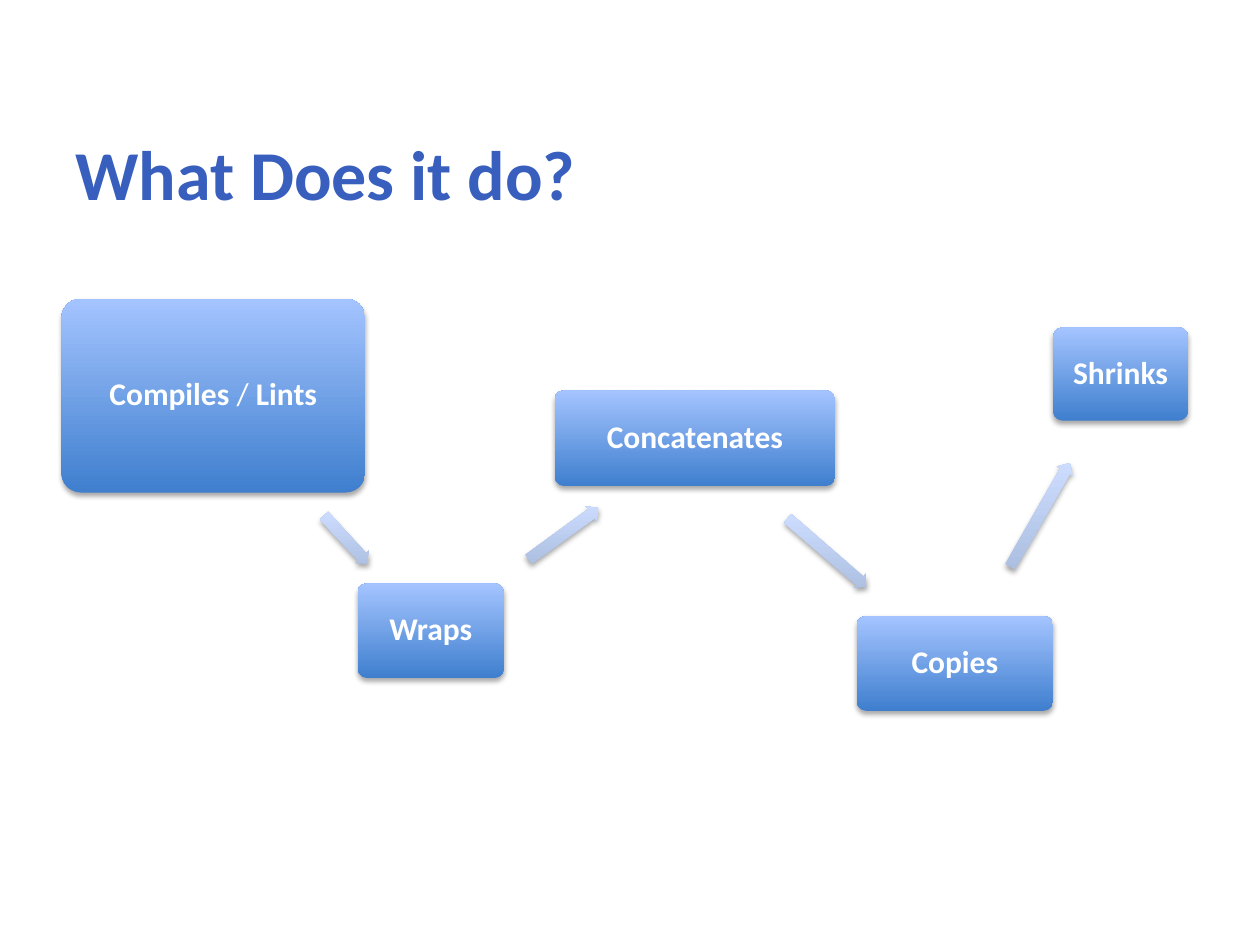
from typing import NamedTuple

from lxml.etree import SubElement
from pptx import Presentation
from pptx.dml.color import RGBColor
from pptx.enum.shapes import MSO_SHAPE
from pptx.enum.text import MSO_ANCHOR, PP_ALIGN
from pptx.oxml.ns import qn
from pptx.util import Cm, Pt

FONT = "Calibri"
STEP_GRADIENT = ("3F7FCE", "A4C4FF")
ARROW_GRADIENT = ("ADBFE1", "CCDDFF")
ARROW_THICKNESS = 0.38
TEXT_INSET = Cm(0.23)


class Step(NamedTuple):
    """A process box in centimetres, with (text, bold) runs."""
    left: float
    top: float
    width: float
    height: float
    runs: tuple


class Arrow(NamedTuple):
    """A block arrow in centimetres, turned clockwise in degrees."""
    left: float
    top: float
    length: float
    rotation: float


STEPS = (
    Step(1.24, 6.02, 6.12, 3.91, (("Compiles", True), (" / ", False), ("Lints", True))),
    Step(7.21, 11.76, 2.95, 1.91, (("Wraps", True),)),
    Step(11.18, 7.87, 5.66, 1.93, (("Concatenates", True),)),
    Step(17.27, 12.42, 3.96, 1.91, (("Copies", True),)),
    Step(21.23, 6.6, 2.72, 1.88, (("Shrinks", True),)),
)
ARROWS = (
    Arrow(6.32, 10.69, 1.32, 47.3),
    Arrow(10.49, 10.57, 1.75, 324),
    Arrow(15.62, 10.95, 2.11, 40.8),
    Arrow(19.76, 10.19, 2.41, 299.9),
)


def color(hex_value: str) -> RGBColor:
    return RGBColor.from_string(hex_value)


def apply_format(target, values: dict) -> None:
    for name, value in values.items():
        setattr(target, name, value)


def add_run(paragraph, text: str, size: float, hex_value: str, bold: bool) -> None:
    run = paragraph.add_run()
    run.text = text
    apply_format(run.font, {"name": FONT, "size": Pt(size), "bold": bold})
    run.font.color.rgb = color(hex_value)


def apply_style(shape, gradient: tuple[str, str]) -> None:
    """Give the shape an upward gradient, no outline and a soft shadow below."""
    shape.fill.gradient()
    shape.fill.gradient_angle = 90
    for stop, hex_value, position in zip(shape.fill.gradient_stops, gradient, (0, 1)):
        stop.color.rgb = color(hex_value)
        stop.position = position
    shape.line.fill.background()
    shape.shadow.inherit = False

    properties = shape._element.spPr
    properties.find(qn("a:gradFill")).set("rotWithShape", "0")
    shadow = SubElement(
        properties.find(qn("a:effectLst")), qn("a:outerShdw"),
        blurRad=str(Pt(3.1)), dist=str(Pt(1.8)), dir="5400000", rotWithShape="0",
    )
    shadow_color = SubElement(shadow, qn("a:srgbClr"), val="000000")
    SubElement(shadow_color, qn("a:alpha"), val="35000")


def add_title(slide, text: str) -> None:
    title = slide.shapes.add_textbox(Cm(1.27), Cm(2.51), Cm(22.86), Cm(3.18))
    title.text_frame.word_wrap = True
    add_run(title.text_frame.paragraphs[0], text, 40, "385FBE", True)


def add_step(slide, step: Step) -> None:
    shape = slide.shapes.add_shape(
        MSO_SHAPE.ROUNDED_RECTANGLE, *(Cm(length) for length in step[:4])
    )
    shape.adjustments[0] = 0.1
    apply_style(shape, STEP_GRADIENT)
    apply_format(shape.text_frame, {
        "word_wrap": True,
        "vertical_anchor": MSO_ANCHOR.MIDDLE,
        "margin_left": TEXT_INSET,
        "margin_right": TEXT_INSET,
        "margin_top": TEXT_INSET,
        "margin_bottom": TEXT_INSET,
    })
    paragraph = shape.text_frame.paragraphs[0]
    apply_format(paragraph, {"alignment": PP_ALIGN.CENTER, "line_spacing": 0.9})
    for text, bold in step.runs:
        add_run(paragraph, text, 18, "FFFFFF", bold)


def add_arrow(slide, arrow: Arrow) -> None:
    shape = slide.shapes.add_shape(
        MSO_SHAPE.RIGHT_ARROW,
        Cm(arrow.left), Cm(arrow.top), Cm(arrow.length), Cm(ARROW_THICKNESS),
    )
    shape.adjustments[0] = 0.6
    shape.adjustments[1] = 0.5
    shape.rotation = arrow.rotation
    apply_style(shape, ARROW_GRADIENT)


def main() -> None:
    presentation = Presentation()
    apply_format(presentation, {"slide_width": Cm(25.4), "slide_height": Cm(19.05)})
    slide = presentation.slides.add_slide(presentation.slide_layouts[6])
    add_title(slide, "What Does it do?")
    for step in STEPS:
        add_step(slide, step)
    for arrow in ARROWS:
        add_arrow(slide, arrow)
    presentation.save("out.pptx")


if __name__ == "__main__":
    main()
